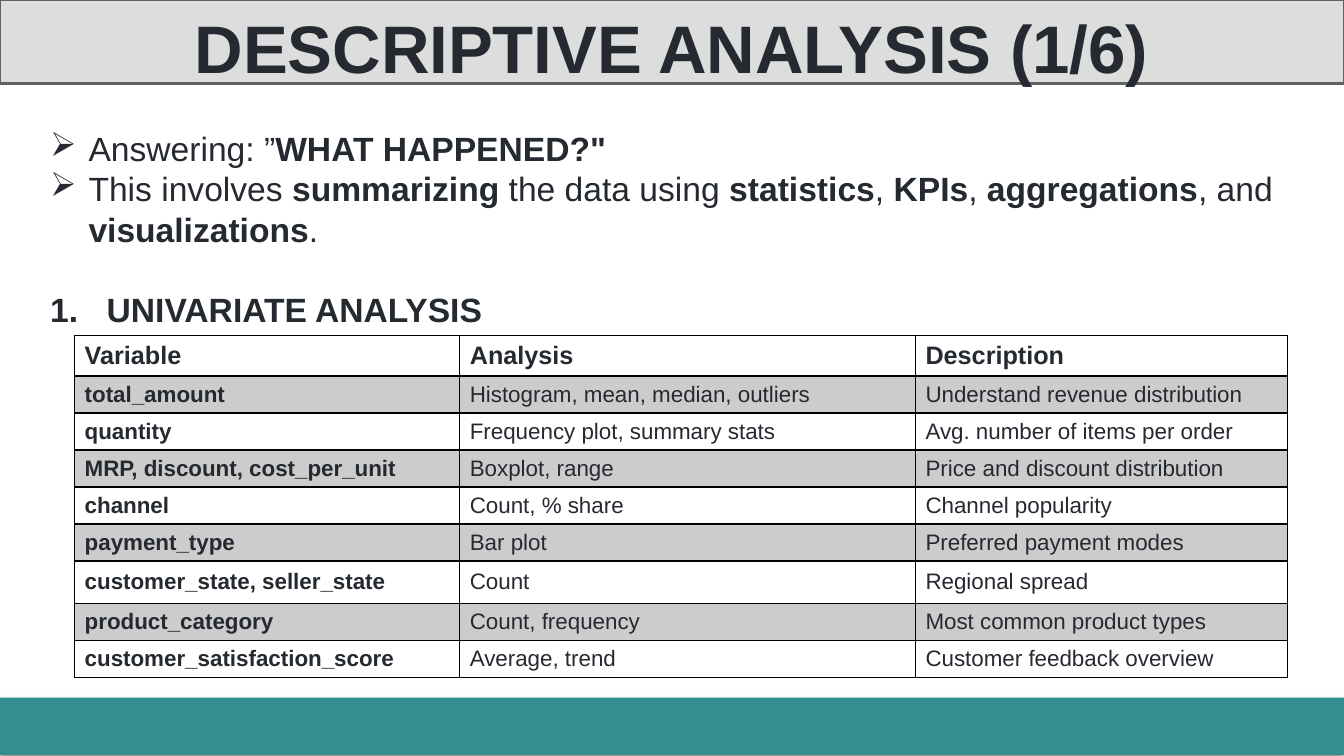
from pptx import Presentation
from pptx.dml.color import RGBColor as RGB
from pptx.enum.shapes import MSO_SHAPE as Kind
from pptx.enum.text import MSO_ANCHOR as Anchor, PP_ALIGN as Align
from pptx.oxml import parse_xml
from pptx.oxml.ns import nsdecls
from pptx.util import Inches, Pt

# Content
TITLE = "DESCRIPTIVE ANALYSIS (1/6)"
ARROW = '<a:buChar {} char="➢"/>'
NUMBER = '<a:buAutoNum {} type="arabicPeriod"/>'
# Bullet, indent, line spacing, runs as (text, bold)
POINTS = [
    (ARROW, 0.38, 1.5, [("Answering: ”", False), ('WHAT HAPPENED?"', True)]),
    (ARROW, 0.38, 1, [
        ("This involves ", False), ("summarizing", True),
        (" the data using ", False), ("statistics", True), (", ", False),
        ("KPIs", True), (", ", False), ("aggregations", True),
        (", and ", False), ("visualizations", True), (".", False)]),
    (NUMBER, 0.56, 2, [("UNIVARIATE ANALYSIS", True)]),
]
ROWS = [
    ("Variable", "Analysis", "Description"),
    ("total_amount", "Histogram, mean, median, outliers",
     "Understand revenue distribution"),
    ("quantity", "Frequency plot, summary stats",
     "Avg. number of items per order"),
    ("MRP, discount, cost_per_unit", "Boxplot, range",
     "Price and discount distribution"),
    ("channel", "Count, % share", "Channel popularity"),
    ("payment_type", "Bar plot", "Preferred payment modes"),
    ("customer_state, seller_state", "Count", "Regional spread"),
    ("product_category", "Count, frequency", "Most common product types"),
    ("customer_satisfaction_score", "Average, trend",
     "Customer feedback overview"),
]
WIDTHS = [3.82, 4.52, 3.69]
HEIGHTS = [0.4] + [0.367] * 5 + [0.42] + [0.367] * 2
COLORS = {"ink": "252930", "bar": "DDDDDD", "edge": "616161",
          "foot": "348E90", "grid": "000000"}


def color(name):
    return RGB.from_string(COLORS[name])


def add_run(para, text, size, bold):
    run = para.add_run()
    run.text = text
    font = run.font
    font.name, font.size, font.bold = "Arial", Pt(size), bold
    font.color.rgb = color("ink")


def add_bar(top, width, height, fill):
    bar = slide.shapes.add_shape(
        Kind.RECTANGLE, 0, Inches(top), Inches(width), Inches(height))
    bar.shadow.inherit = False
    bar.fill.solid()
    bar.fill.fore_color.rgb = color(fill)
    return bar


def add_edge(cell, side, width):
    cell._tc.get_or_add_tcPr().append(parse_xml(
        f'<a:{side} {nsdecls("a")} w="{Pt(width)}"><a:solidFill>'
        f'<a:srgbClr val="{COLORS["grid"]}"/></a:solidFill></a:{side}>'))


deck = Presentation()
deck.slide_width, deck.slide_height = Inches(13.33), Inches(7.5)
slide = deck.slides.add_slide(deck.slide_layouts[6])

# Footer band with a soft shadow
foot = add_bar(6.92, 13.34, 0.57, "foot")
foot.line.fill.background()
effects = foot._element.spPr.find(
    "{http://schemas.openxmlformats.org/drawingml/2006/main}effectLst")
effects.append(parse_xml(
    f'<a:outerShdw {nsdecls("a")} blurRad="{Pt(4)}" dist="{Pt(3)}" dir="8100000">'
    '<a:srgbClr val="000000"><a:alpha val="40000"/></a:srgbClr></a:outerShdw>'))

# Title band
head = add_bar(0, 13.33, 0.83, "bar")
head.line.color.rgb = color("edge")
head.line.width = Pt(2)
frame = head.text_frame
frame.vertical_anchor = Anchor.MIDDLE
para = frame.paragraphs[0]
para.alignment = Align.CENTER
para.line_spacing = Pt(64.3)
add_run(para, TITLE, 48, True)

# Bullets and section heading
box = slide.shapes.add_textbox(
    Inches(0.4), Inches(1.02), Inches(12.73), Inches(1.81))
frame = box.text_frame
frame.word_wrap = True
for i, (bullet, indent, spacing, runs) in enumerate(POINTS):
    para = frame.add_paragraph() if i else frame.paragraphs[0]
    props = para._p.get_or_add_pPr()
    props.set("marL", str(Inches(indent)))
    props.set("indent", str(-Inches(indent)))
    props.append(parse_xml(bullet.format(nsdecls("a"))))
    para.line_spacing = float(spacing)
    for text, bold in runs:
        add_run(para, text, 24, bold)

# Table of variables
table = slide.shapes.add_table(
    len(ROWS), len(WIDTHS), Inches(0.74), Inches(3.33),
    Inches(sum(WIDTHS)), Inches(sum(HEIGHTS))).table
table.first_row = table.horz_banding = False
for col, width in zip(table.columns, WIDTHS):
    col.width = Inches(width)
for r, (row, height) in enumerate(zip(ROWS, HEIGHTS)):
    table.rows[r].height = Inches(height)
    for c, text in enumerate(row):
        cell = table.cell(r, c)
        cell.vertical_anchor = Anchor.MIDDLE
        add_run(cell.text_frame.paragraphs[0], text,
                16 if r else 18, r == 0 or c == 0)
        for side in ("lnL", "lnR", "lnT", "lnB"):
            thick = (r, side) in ((0, "lnB"), (1, "lnT"))
            add_edge(cell, side, 2 if thick else 1)
        if r % 2:
            cell.fill.solid()
            cell.fill.fore_color.rgb = color("grid")
            shade = cell._tc.tcPr.find(
                "{*}solidFill/{*}srgbClr")
            shade.append(parse_xml(f'<a:alpha {nsdecls("a")} val="20000"/>'))
        else:
            cell.fill.background()

deck.save("out.pptx")
